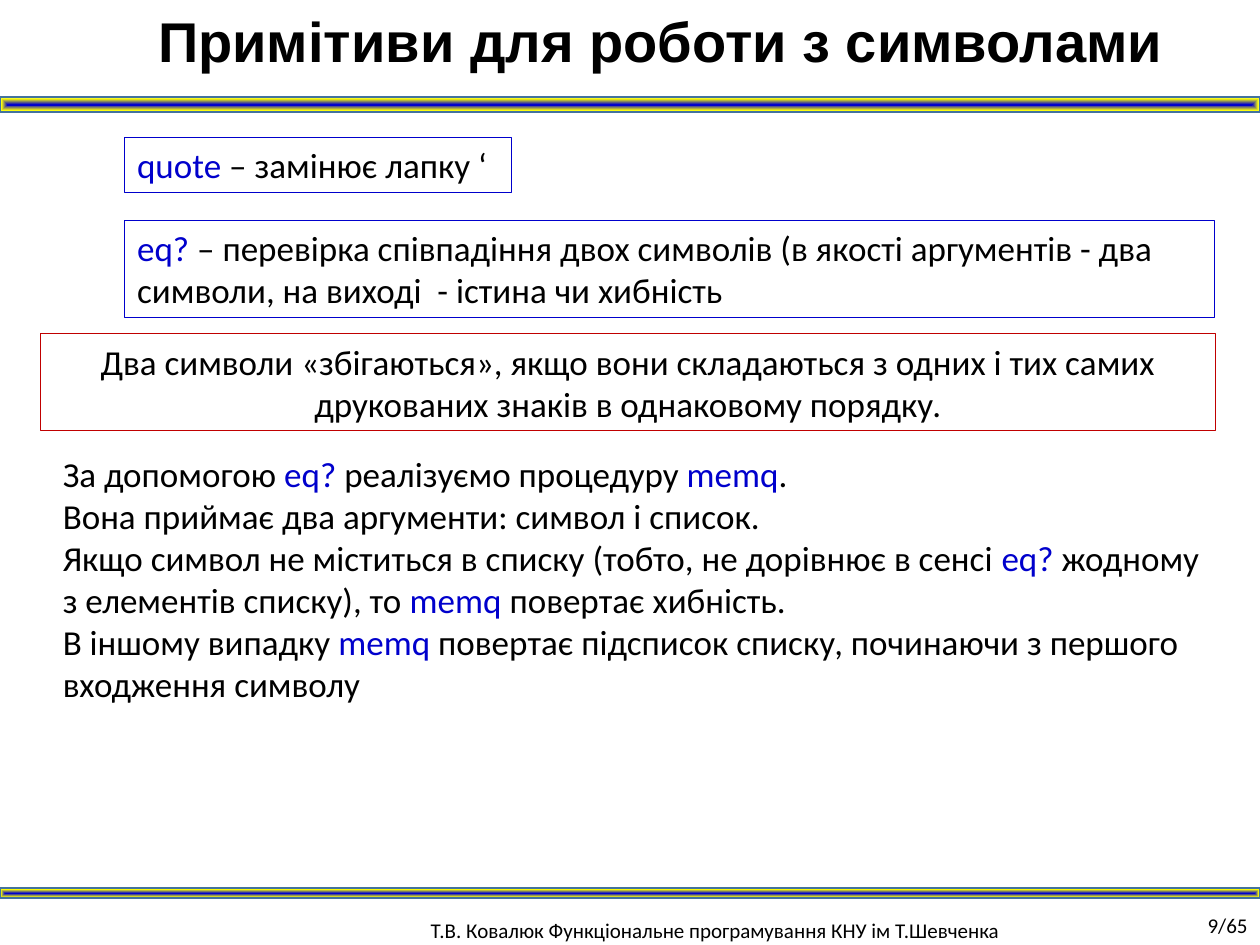
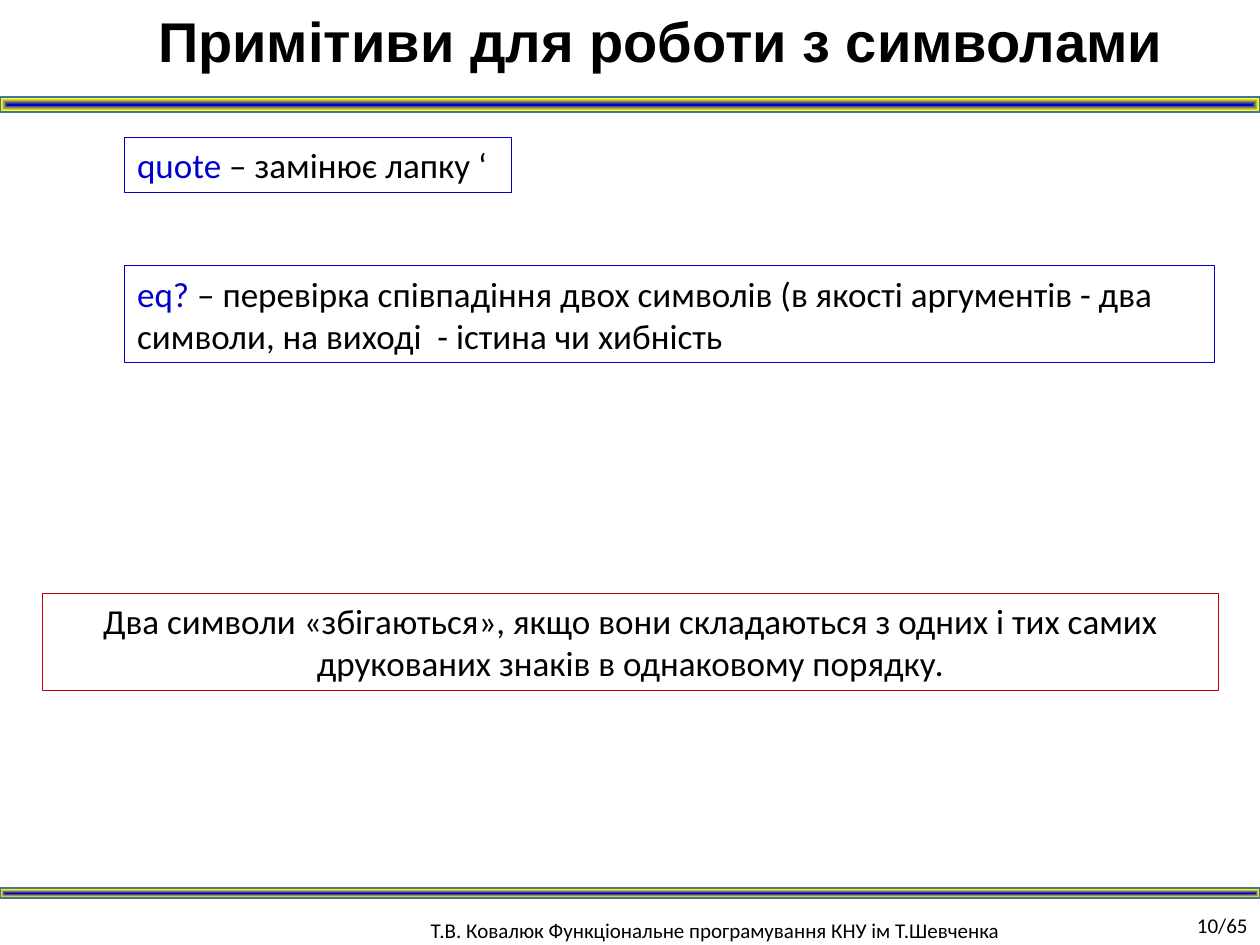
import pptx
import pptx.util
import pptx.dml.color
import pptx.enum.shapes
import pptx.enum.text
import pptx.oxml
import pptx.oxml.ns

Inches, Pt = pptx.util.Inches, pptx.util.Pt
ALIGN = pptx.enum.text.PP_ALIGN
ANCHOR = pptx.enum.text.MSO_ANCHOR
AUTO_SIZE = pptx.enum.text.MSO_AUTO_SIZE

COLORS = {
    "text": "000000",
    "keyword": "0000CC",
    "rule": "C00000",
    "band_center": "0000CC",
    "band_middle": "FFFF00",
    "band_edge": "CEE1F2",
    "band_line": "43739E",
}
TITLE = "Примітиви для роботи з символами"
FOOTER = "Т.В. Ковалюк Функціональне програмування КНУ ім Т.Шевченка"
PAGE_COUNT = 65
BANDS = [(0.77, 0.12), (7.05, 0.08)]

# Keywords stand between asterisks.
QUOTE = "*quote *– замінює лапку ‘"
EQ = ("*eq? *– перевірка співпадіння двох символів (в якості аргументів - два "
      "символи, на виході  - істина чи хибність")
MATCH_RULE = ("Два символи «збігаються», якщо вони складаються з одних і тих самих "
              "друкованих знаків в однаковому порядку.")
MEMQ = [
    "За допомогою *eq? *реалізуємо процедуру *memq*.",
    "Вона приймає два аргументи: символ і список.",
    "Якщо символ не міститься в списку (тобто, не дорівнює в сенсі *eq? *жодному "
    "з елементів списку), то *memq *повертає хибність.",
    "В іншому випадку *memq *повертає підсписок списку, починаючи з першого "
    "входження символу",
]


def rgb(name):
    return pptx.dml.color.RGBColor.from_string(COLORS[name])


def write(tf, lines, size=20, align=ALIGN.LEFT):
    """Fill a text frame, colouring the parts between asterisks as keywords."""
    for i, line in enumerate(lines):
        p = tf.paragraphs[0] if i == 0 else tf.add_paragraph()
        p.alignment = align
        p.font.name, p.font.size = "Calibri", Pt(size)
        p.font.color.rgb = rgb("text")
        for j, part in enumerate(line.split("*")):
            r = p.add_run()
            r.text = part
            r.font.color.rgb = rgb("keyword" if j % 2 else "text")


def add_rect(slide, x, y, w, h, line, width):
    s = slide.shapes.add_shape(pptx.enum.shapes.MSO_SHAPE.RECTANGLE,
                               Inches(x), Inches(y), Inches(w), Inches(h))
    s.shadow.inherit = False
    s.fill.background()
    s.line.color.rgb = rgb(line)
    s.line.width = Pt(width)
    return s


def add_band(slide, y, h):
    """Full-width band with a gradient that runs from its centre to its edges."""
    s = add_rect(slide, 0, y, 10, h, "band_line", 1)
    stops = "".join(
        f'<a:gs pos="{pos * 1000}"><a:srgbClr val="{COLORS[name]}"/></a:gs>'
        for pos, name in [(0, "band_center"), (77, "band_middle"), (100, "band_edge")])
    grad = pptx.oxml.parse_xml(
        f'<a:gradFill {pptx.oxml.ns.nsdecls("a")} rotWithShape="1">'
        f'<a:gsLst>{stops}</a:gsLst><a:path path="shape">'
        '<a:fillToRect l="50000" t="50000" r="50000" b="50000"/></a:path></a:gradFill>')
    sp_pr = s._element.spPr
    sp_pr.replace(sp_pr.find(pptx.oxml.ns.qn("a:noFill")), grad)


def add_box(slide, x, y, w, h, text, line, align=ALIGN.LEFT, wrap=True):
    tf = add_rect(slide, x, y, w, h, line, 0.75).text_frame
    tf.word_wrap = wrap
    tf.auto_size = AUTO_SIZE.SHAPE_TO_FIT_TEXT
    tf.vertical_anchor = ANCHOR.TOP
    write(tf, [text], align=align)


def add_text(slide, x, y, w, h, lines, size=20, align=ALIGN.LEFT, anchor=ANCHOR.TOP):
    tf = slide.shapes.add_textbox(Inches(x), Inches(y), Inches(w), Inches(h)).text_frame
    tf.word_wrap = True
    tf.vertical_anchor = anchor
    write(tf, lines, size, align)


def set_title(slide):
    s = slide.shapes.title
    s.left, s.top, s.width, s.height = 0, 0, Inches(10), Inches(0.64)
    tf = s.text_frame
    tf.text = TITLE
    tf.word_wrap = True
    tf.auto_size = AUTO_SIZE.SHAPE_TO_FIT_TEXT
    tf.vertical_anchor = ANCHOR.TOP
    p = tf.paragraphs[0]
    p.alignment = ALIGN.CENTER
    p.space_before = p.space_after = Pt(6)
    p._p.get_or_add_pPr().set("indent", str(Inches(0.49)))
    p.font.name, p.font.size, p.font.bold = "Arial", Pt(32), True
    p.font.color.rgb = rgb("text")


def add_slide(prs, page, eq_top, rule_left, rule_top):
    """Slide with title, bands, footer and the three framed statements."""
    slide = prs.slides.add_slide(prs.slide_layouts[5])
    add_text(slide, 3.32, 7.23, 6, 0.32, [FOOTER], 12)
    for y, h in BANDS:
        add_band(slide, y, h)
    set_title(slide)
    add_text(slide, 9.31, 7.18, 0.69, 0.32, [f"{page}/{PAGE_COUNT}"], 12,
             ALIGN.RIGHT, ANCHOR.MIDDLE)
    add_box(slide, 0.99, 1.09, 3.07, 0.44, QUOTE, "keyword", wrap=False)
    add_box(slide, 0.99, eq_top, 8.65, 0.77, EQ, "keyword")
    add_box(slide, rule_left, rule_top, 9.33, 0.77, MATCH_RULE, "rule", ALIGN.CENTER)
    return slide


def main():
    prs = pptx.Presentation()
    prs.slide_width, prs.slide_height = Inches(10), Inches(7.5)
    slide = add_slide(prs, 9, eq_top=1.75, rule_left=0.32, rule_top=2.65)
    add_text(slide, 0.4, 3.54, 9.24, 2.12, MEMQ)
    add_slide(prs, 10, eq_top=2.11, rule_left=0.34, rule_top=4.71)
    prs.save("out.pptx")


if __name__ == "__main__":
    main()
